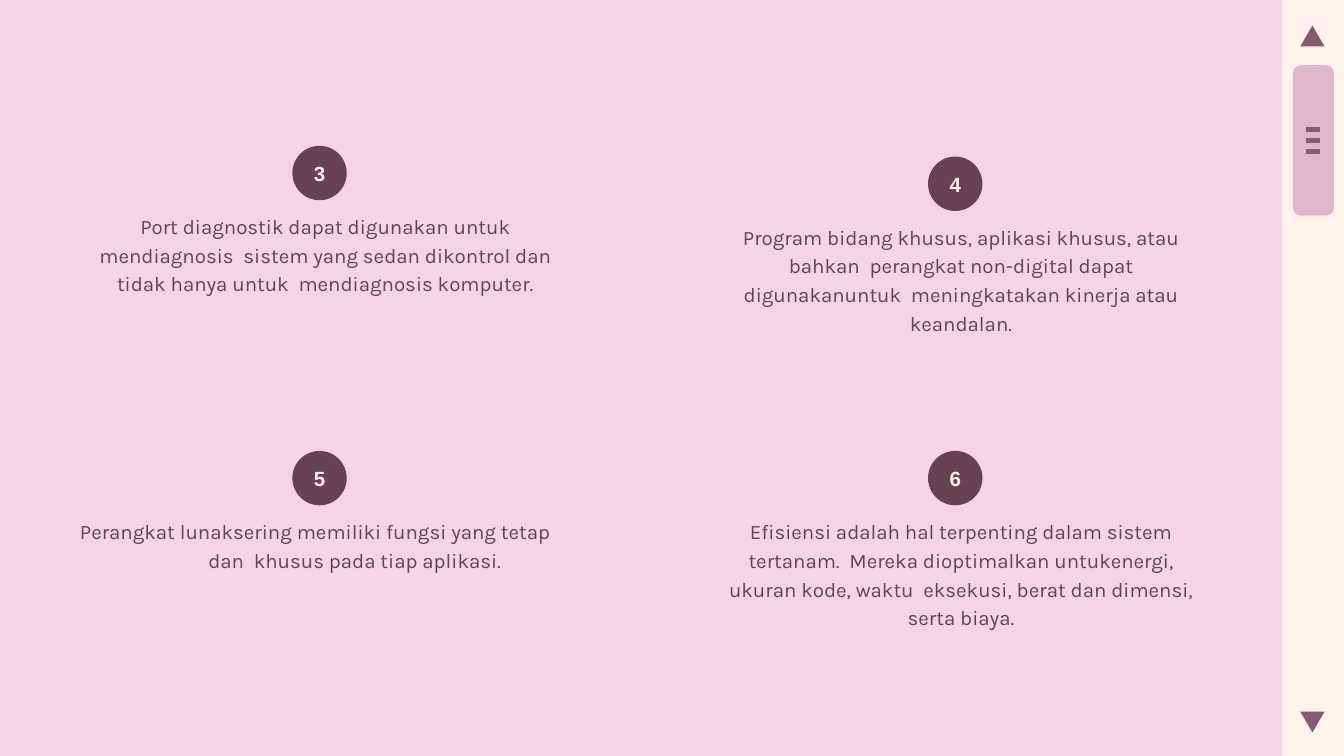
from typing import NamedTuple

from lxml import etree
from pptx import Presentation
from pptx.dml.color import RGBColor
from pptx.enum.shapes import MSO_CONNECTOR, MSO_SHAPE as Geometry
from pptx.enum.text import MSO_ANCHOR as Anchor, PP_ALIGN as Align
from pptx.oxml.ns import qn
from pptx.util import Inches, Pt

COLORS = {
    "page": "F5D5E4",
    "track": "FFF2EC",
    "thumb": "DEB8CA",
    "control": "835C6F",
    "ink": "664253",
    "number": "FFF2EC",
}
BADGE_SIZE = 0.81
CAPTION_WIDTH = 7.3
CAPTION_DX, CAPTION_DY = -3.16, 0.94  # caption corner relative to its badge
LEFT_COLUMN, RIGHT_COLUMN = 4.35, 13.81
LOWER_ROW = 6.71


class Point(NamedTuple):
    number: int
    left: float
    top: float
    caption: str
    height: float
    hanging: float = 0  # hanging indent; the caption is then left-aligned


POINTS = [
    Point(3, LEFT_COLUMN, 2.17,
          "Port diagnostik dapat digunakan untuk mendiagnosis  sistem yang sedan "
          "dikontrol dan tidak hanya untuk  mendiagnosis komputer.", 1.31),
    Point(4, RIGHT_COLUMN, 2.33,
          "Program bidang khusus, aplikasi khusus, atau bahkan  perangkat "
          "non-digital dapat digunakanuntuk  meningkatakan kinerja atau "
          "keandalan.", 1.31),
    Point(5, LEFT_COLUMN, LOWER_ROW,
          "Perangkat lunaksering memiliki fungsi yang tetap dan  khusus pada "
          "tiap aplikasi.", 0.88, hanging=1.91),
    Point(6, RIGHT_COLUMN, LOWER_ROW,
          "Efisiensi adalah hal terpenting dalam sistem tertanam.  Mereka "
          "dioptimalkan untukenergi, ukuran kode, waktu  eksekusi, berat dan "
          "dimensi, serta biaya.", 1.31),
]


def color(name: str) -> RGBColor:
    return RGBColor.from_string(COLORS[name])


def add_block(slide, geometry, left: float, top: float, width: float,
              height: float, fill: str):
    block = slide.shapes.add_shape(geometry, Inches(left), Inches(top),
                                   Inches(width), Inches(height))
    block.shadow.inherit = False
    block.fill.solid()
    block.fill.fore_color.rgb = color(fill)
    block.line.fill.background()
    return block


def add_grip(slide, top: float) -> None:
    grip = slide.shapes.add_connector(MSO_CONNECTOR.STRAIGHT, Inches(19.43),
                                      Inches(top), Inches(19.65), Inches(top))
    grip.line.color.rgb = color("control")
    grip.line.width = Pt(5.25)
    etree.SubElement(grip._element.spPr, qn("a:effectLst"))


def write(frame, text: str, font_name: str, ink: str, bold: bool = False):
    frame.margin_left = frame.margin_right = frame.margin_bottom = 0
    frame.margin_top = Inches(0.01)
    frame.word_wrap = True
    paragraph = frame.paragraphs[0]
    paragraph.text = text
    paragraph.alignment = Align.CENTER
    paragraph.font.name = font_name
    paragraph.font.size = Pt(22)
    paragraph.font.bold = bold
    paragraph.font.color.rgb = color(ink)
    return paragraph


def add_point(slide, point: Point) -> None:
    badge = add_block(slide, Geometry.OVAL, point.left, point.top,
                      BADGE_SIZE, BADGE_SIZE, "ink")
    badge.text_frame.vertical_anchor = Anchor.MIDDLE
    write(badge.text_frame, str(point.number), "Arial", "number", bold=True)

    caption = slide.shapes.add_textbox(
        Inches(point.left + CAPTION_DX), Inches(point.top + CAPTION_DY),
        Inches(CAPTION_WIDTH), Inches(point.height))
    paragraph = write(caption.text_frame, point.caption, "Karla", "ink")
    paragraph.line_spacing = 1.17
    if point.hanging:
        paragraph.alignment = Align.LEFT
        indent = Inches(point.hanging)
        properties = paragraph._p.get_or_add_pPr()
        properties.set("marL", str(indent))
        properties.set("indent", str(-indent))


def add_scrollbar(slide) -> None:
    add_block(slide, Geometry.RECTANGLE, 19.08, 0, 0.92, 11.25, "track")
    for top, rotation in ((0.38, 0), (10.59, 180)):
        arrow = add_block(slide, Geometry.ISOSCELES_TRIANGLE,
                          19.35, top, 0.36, 0.31, "control")
        arrow.rotation = rotation
    thumb = add_block(slide, Geometry.ROUNDED_RECTANGLE,
                      19.24, 0.97, 0.61, 2.24, "thumb")
    thumb.adjustments[0] = 0.19
    for index in range(3):
        add_grip(slide, 1.93 + 0.16 * index)


def main() -> None:
    deck = Presentation()
    deck.slide_width, deck.slide_height = Inches(20), Inches(11.25)
    slide = deck.slides.add_slide(deck.slide_layouts[6])

    # Page colour
    slide.background.fill.solid()
    slide.background.fill.fore_color.rgb = color("page")

    # Scroll bar on the right edge
    add_scrollbar(slide)

    # Numbered points
    for point in POINTS:
        add_point(slide, point)

    deck.save("out.pptx")


if __name__ == "__main__":
    main()
